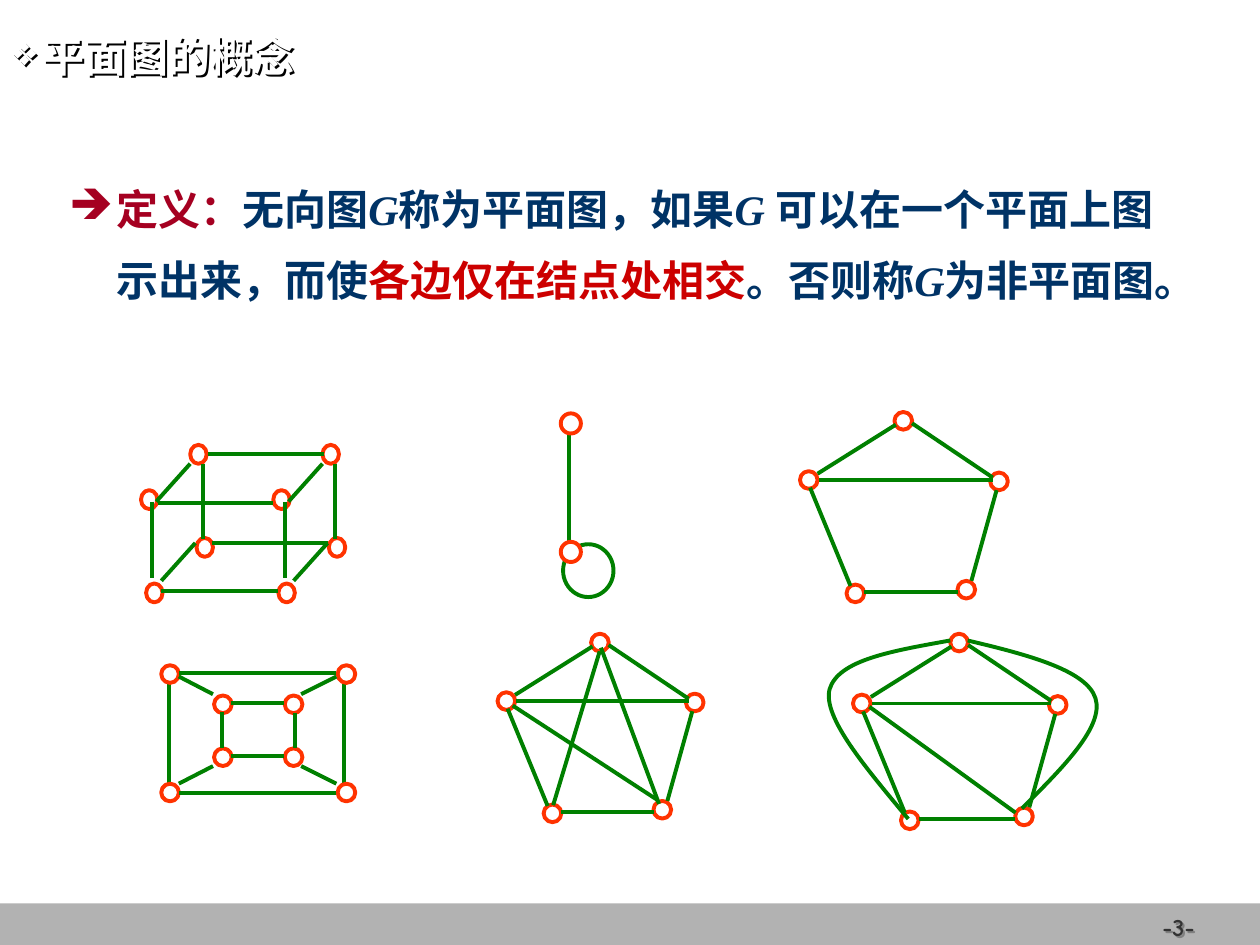
from lxml import etree
from pptx import Presentation
from pptx.dml.color import RGBColor
from pptx.enum.shapes import MSO_CONNECTOR, MSO_SHAPE
from pptx.enum.text import MSO_ANCHOR, MSO_AUTO_SIZE, PP_ALIGN
from pptx.oxml.ns import qn
from pptx.util import Pt

RECT, OVAL, LINE = MSO_SHAPE.RECTANGLE, MSO_SHAPE.OVAL, MSO_CONNECTOR.STRAIGHT
LEFT, MID = PP_ALIGN.LEFT, PP_ALIGN.CENTER
COL = {"white": "FFFFFF", "bar": "B2B2B2", "num": "333333", "term": "A50021",
       "text": "003366", "key": "CC0000", "node": "FF3300", "edge": "008000",
       "shade": "000000", "soft": "808080"}
CJK = "Noto Sans CJK SC"

# Text: (wording, colour, italic)
TITLE = [("平面图的概念", "white", False)]
BODY = [("定义：", "term", False), ("无向图", "text", False), ("G", "text", True),
        ("称为平面图，如果", "text", False), ("G ", "text", True),
        ("可以在一个平面上图示出来，而使", "text", False),
        ("各边仅在结点处相交", "key", False), ("。否则称", "text", False),
        ("G", "text", True), ("为非平面图。", "text", False)]
NUMBER = [("-3-", "num", False)]

# House: node centres and edges, measured from its left and top nodes
HOUSE = [(54, 0), (0, 33.8), (26.6, 98.6), (90, 96.5), (108.7, 34.6)]
WALLS = [(5.8, 33.8, 105.1, 33.8), (31.7, 97.9, 85, 97.9),
         (49.7, 2.2, 5, 30.2), (59, 1.4, 105.1, 32.4),
         (0.7, 38.2, 23.8, 94.3), (107.3, 39.6, 92.9, 91.4)]
# Each house: origin, scale, added edges, added curves
HOUSES = [
    ((462.2, 240.5), (1, 1), [], []),
    ((289.4, 367.2), (0.99, 0.99),
     [(342.7, 372.2, 316.1, 460.1), (343.4, 370.1, 376.6, 459.4),
      (293, 403.2, 375.8, 457.2)], []),
    ((492.5, 367.2), (1.03, 1.03), [(496.8, 403.9, 580.3, 464.4)],
     [[(542.9, 366.5), (510.5, 371.5), (478.8, 376.6), (474.5, 393.8),
       (470.2, 410.4), (494.6, 439.2), (519.1, 468)],
      [(553, 365.8), (586.8, 374.4), (620.6, 383), (625.7, 398.9),
       (631.4, 414.7), (607.7, 438.5), (583.9, 461.5)]]),
]

# Loop graph
LOOP = (321.8, 311, 28.8, 30.2)
STEM = (325.4, 241.9, 325.4, 310.3)
ENDS = [(326.2, 315.4), (326.2, 242)]

# Cube: the left half is repeated one step to the right
STEP = 75.6
CUBE = [(113.4, 259.6), (85.3, 285.5), (117, 312.8), (88.2, 338.8)]
SIDES = [(108.7, 265, 89.3, 286.6), (92.2, 331.9, 111.6, 310.3),
         (115.9, 265, 115.9, 308.2), (87.1, 286.6, 87.1, 330.5)]
RAILS = [(118.8, 259.2, 185, 259.2), (90, 287.3, 156.2, 287.3),
         (121, 310.3, 187.2, 310.3), (92.2, 337.7, 159.1, 337.7)]

# Nested frames
RINGS = [((97.2, 198), (385.2, 452.9)), ((127.4, 167.8), (402.5, 432.7))]
POSTS = [(96.5, 386.6, 96.5, 447.8), (196.6, 386.6, 196.6, 447.8)]
BARS = [(102.2, 384.5, 192.2, 384.5), (102.2, 452.9, 192.2, 452.9),
        (131.8, 401.8, 162, 401.8), (131.8, 432, 162, 432),
        (126.7, 406.8, 126.7, 427.7), (168.5, 407.5, 168.5, 427.7),
        (102.2, 386.6, 121.7, 396.7), (172.1, 396.7, 192.2, 386.6),
        (172.1, 437.8, 192.2, 447.8), (121.7, 437.8, 102.2, 447.8)]

deck = Presentation()
deck.slide_width, deck.slide_height = Pt(720), Pt(540)
page = deck.slides.add_slide(deck.slide_layouts[5])
shapes = page.shapes


def rgb(name):
    return RGBColor.from_string(COL[name])


def assign(item, **values):
    for name, value in values.items():
        setattr(item, name, value)


def child(parent, tag, **attrs):
    return etree.SubElement(parent, qn(tag), attrs)


def stroke(item, color):
    item.line.color.rgb = rgb(color)
    item.line.width = Pt(2.25)


def shape(kind, box, fill, edge=None):
    item = shapes.add_shape(kind, *map(Pt, box))
    item.shadow.inherit = False
    item.fill.solid()
    item.fill.fore_color.rgb = rgb(fill)
    if edge:
        stroke(item, edge)
    else:
        item.line.fill.background()


def nodes(spots, wide=10.1, high=10.1):
    for x, y in spots:
        shape(OVAL, (x - wide / 2, y - high / 2, wide, high), "white", "node")


def edges(ends):
    for end in ends:
        item = shapes.add_connector(LINE, *map(Pt, end))
        stroke(item, "edge")
        child(item._element.spPr, "a:effectLst")


def curve(spots):
    pen = shapes.build_freeform(*spots[0], scale=Pt(1))
    pen.add_line_segments(spots[1:], close=False)
    item = pen.convert_to_shape()
    item.shadow.inherit = False
    item.fill.background()
    stroke(item, "edge")
    # Turn each three line steps into one cubic step
    steps = list(item._element.iter(qn("a:lnTo")))
    for k in range(0, len(steps), 3):
        cubic = etree.Element(qn("a:cubicBezTo"))
        steps[k].addprevious(cubic)
        for step in steps[k:k + 3]:
            cubic.append(step[0])
            step.getparent().remove(step)


def write(item, box, runs, size, face, align, anchor, mark=None, shade=None):
    assign(item, **dict(zip(("left", "top", "width", "height"), map(Pt, box))))
    frame = item.text_frame
    assign(frame, word_wrap=True, auto_size=MSO_AUTO_SIZE.NONE,
           vertical_anchor=anchor, margin_left=Pt(7.2), margin_right=Pt(7.2),
           margin_top=Pt(3.6), margin_bottom=Pt(3.6))
    if shade:
        # With no fill, the shadow of the box falls from its text
        item.fill.background()
        cast = child(child(item._element.spPr, "a:effectLst"), "a:outerShdw",
                     blurRad="0", dist=str(Pt(1.5)), dir="2700000",
                     algn="ctr", rotWithShape="0")
        child(cast, "a:srgbClr", val=COL[shade])
    para = frame.paragraphs[0]
    para.alignment = align
    if mark:
        sign, color = mark
        props = para._p.get_or_add_pPr()
        child(child(props, "a:buClr"), "a:srgbClr", val=COL[color])
        child(props, "a:buFont", typeface="OpenSymbol")
        child(props, "a:buChar", char=sign)
    for words, color, slant in runs:
        run = para.add_run()
        run.text = words
        assign(run.font, size=Pt(size), name=face, bold=True, italic=slant)
        run.font.color.rgb = rgb(color)
        latin = run._r.get_or_add_rPr().find(qn("a:latin"))
        latin.addnext(etree.Element(qn("a:ea"), typeface=CJK))
    return para


# Footer, title and definition
shape(RECT, (0, 516.2, 720, 23.8), "bar")
write(shapes.add_textbox(0, 0, 0, 0), (635, 500.4, 77, 41), NUMBER, 14,
      "Comic Neue", MID, MSO_ANCHOR.BOTTOM, shade="soft")
write(shapes.title, (0, 0, 648, 63.4), TITLE, 24, CJK, LEFT,
      MSO_ANCHOR.MIDDLE, ("❖", "white"), "shade")
para = write(shapes.add_textbox(0, 0, 0, 0), (32.4, 90, 643.7, 166.3), BODY, 24,
             "Times New Roman", LEFT, MSO_ANCHOR.TOP, ("➔", "term"))
para.line_spacing = 1.4
hang = Pt(27)
para._p.pPr.set("marL", str(hang))
para._p.pPr.set("indent", str(-hang))

# Houses
for (x, y), (sx, sy), extra, arcs in HOUSES:
    nodes([(x + a * sx, y + b * sy) for a, b in HOUSE])
    edges([(x + a * sx, y + b * sy, x + c * sx, y + d * sy)
           for a, b, c, d in WALLS] + extra)
    for arc in arcs:
        curve(arc)

# Loop graph
shape(OVAL, LOOP, "white", "edge")
edges([STEM])
nodes(ENDS, 11.5, 11.5)

# Cube
nodes([(x + dx, y) for x, y in CUBE for dx in (0, STEP)], 9.4, 10.8)
edges(RAILS + [(a + dx, b, c + dx, d)
               for a, b, c, d in SIDES for dx in (0, STEP)])

# Nested frames
edges(POSTS)
nodes([(x, y) for xs, ys in RINGS for x in xs for y in ys])
edges(BARS)

deck.save("out.pptx")
